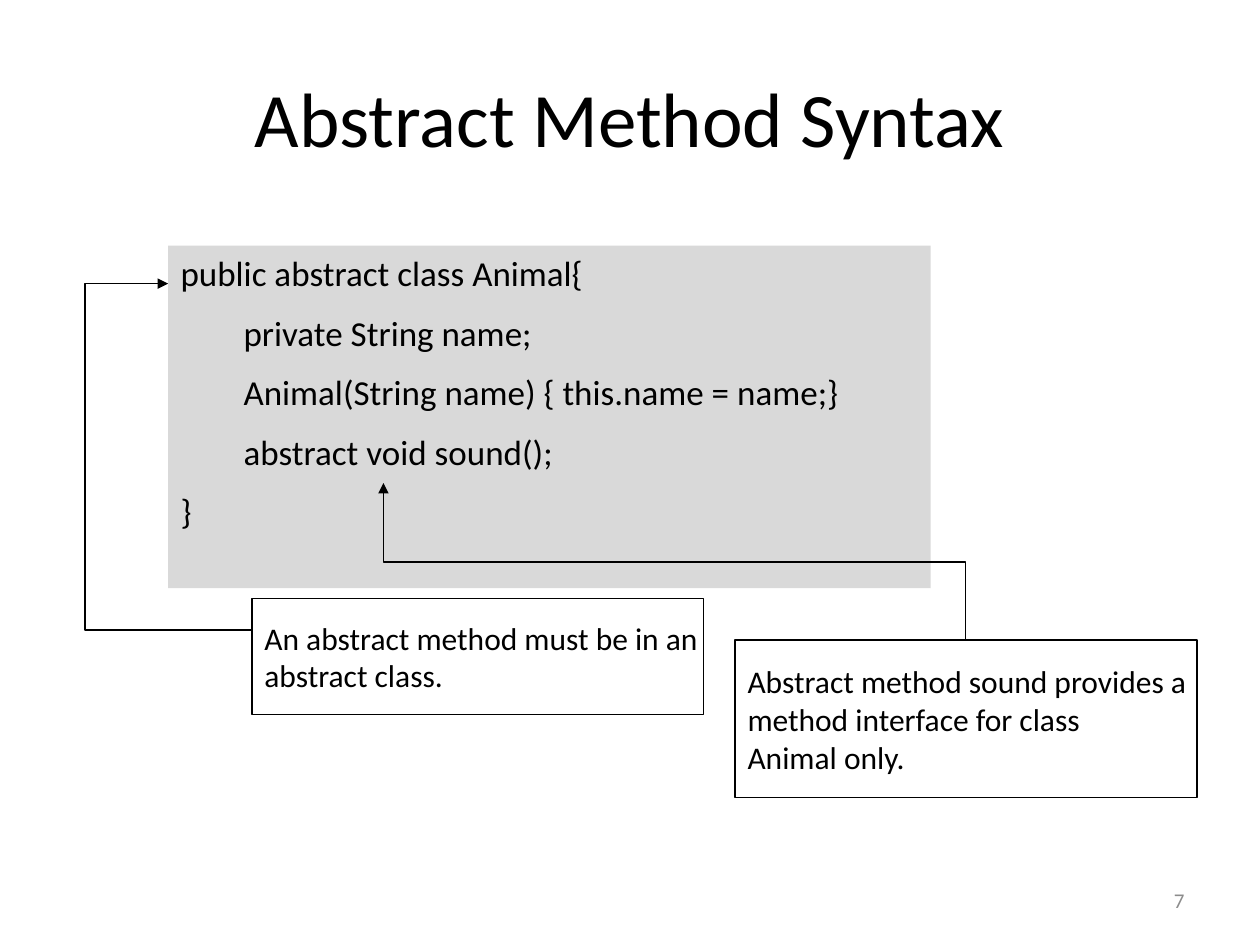
"""Builds the slide on abstract method syntax with its two callouts."""
from dataclasses import dataclass

from lxml import etree
from pptx import Presentation
from pptx import util as u
from pptx.dml.color import RGBColor
from pptx.enum import shapes, text
from pptx.oxml.ns import qn

BLACK, WHITE, LIGHT_GRAY, GRAY = "000000", "FFFFFF", "D9D9D9", "8C8C8C"


@dataclass
class Panel:
    left: float
    top: float
    width: float
    height: float
    lines: list[str]
    size: int
    fill: str = ""
    border: str = ""
    color: str = BLACK
    align: text.PP_ALIGN = text.PP_ALIGN.LEFT
    anchor: text.MSO_ANCHOR = text.MSO_ANCHOR.MIDDLE
    gap: int = 0
    wrap: bool = False


@dataclass
class Arrow:
    start: tuple[float, float]
    end: tuple[float, float]
    bend: float
    rotation: int = 0


def rgb(value: str) -> RGBColor:
    """Turn a hex string into a colour."""
    return RGBColor.from_string(value)


def draw_panel(slide, panel: Panel) -> None:
    """Draw a text panel, with a box behind it if it has a fill."""
    place = [u.Cm(v) for v in (panel.left, panel.top, panel.width, panel.height)]
    if panel.fill:
        box = slide.shapes.add_shape(shapes.MSO_SHAPE.RECTANGLE, *place)
        box.shadow.inherit = False
        box.fill.solid()
        box.fill.fore_color.rgb = rgb(panel.fill)
        if panel.border:
            box.line.color.rgb = rgb(panel.border)
            box.line.width = u.Pt(0.75)
        else:
            box.line.fill.background()
    else:
        box = slide.shapes.add_textbox(*place)
    frame = box.text_frame
    frame.word_wrap = panel.wrap
    frame.vertical_anchor = panel.anchor
    frame.text = "\n".join(panel.lines)
    for paragraph in frame.paragraphs:
        paragraph.alignment = panel.align
        paragraph.space_before = paragraph.space_after = u.Pt(panel.gap)
        paragraph.font.name = "Calibri"
        paragraph.font.size = u.Pt(panel.size)
        paragraph.font.color.rgb = rgb(panel.color)


def draw_arrow(slide, arrow: Arrow) -> None:
    """Draw an elbow arrow whose bend is a fraction of its width."""
    ends = [u.Cm(v) for v in (*arrow.start, *arrow.end)]
    elbow = slide.shapes.add_connector(shapes.MSO_CONNECTOR.ELBOW, *ends)
    elbow.line.color.rgb = rgb(BLACK)
    elbow.line.width = u.Pt(0.75)
    properties = elbow._element.spPr
    properties.find(qn("a:xfrm")).set("rot", str(arrow.rotation * 60000))
    adjustments = properties.find(qn("a:prstGeom")).find(qn("a:avLst"))
    etree.SubElement(adjustments, qn("a:gd"), name="adj1",
                     fmla=f"val {round(arrow.bend * 100000)}")
    etree.SubElement(elbow.line._get_or_add_ln(), qn("a:tailEnd"), type="triangle")
    etree.SubElement(properties, qn("a:effectLst"))


TITLE = Panel(1.27, 0.76, 22.86, 3.18, ["Abstract Method Syntax"], 44,
              align=text.PP_ALIGN.CENTER, wrap=True)
PAGE_NUMBER = Panel(18.2, 17.65, 5.93, 1.01, ["7"], 12, color=GRAY,
                    align=text.PP_ALIGN.RIGHT, wrap=True)
INTERFACE_NOTE = Panel(14.82, 12.9, 9.31, 3.18, [
    "Abstract method sound provides a ",
    "method interface for class ",
    "Animal only.",
], 18, WHITE, BLACK)
CLASS_NOTE = Panel(5.08, 12.07, 9.1, 2.33, [
    "An abstract method must be in an",
    "abstract class.",
], 18, WHITE, BLACK)
CODE = Panel(3.39, 4.95, 15.37, 6.91, [
    "public abstract class Animal{",
    "\tprivate String name;",
    "\tAnimal(String name) { this.name = name;}",
    "\tabstract void sound();",
    "}",
], 20, LIGHT_GRAY, anchor=text.MSO_ANCHOR.TOP, gap=5)
TO_CLASS = Arrow((5.08, 12.7), (3.39, 5.72), 1.99)
TO_METHOD = Arrow((12.01, 17.2), (15.19, 5.46), 0.5, 270)

deck = Presentation()
deck.slide_width, deck.slide_height = u.Cm(25.4), u.Cm(19.05)
syntax_slide = deck.slides.add_slide(deck.slide_layouts[6])
for part in (TITLE, PAGE_NUMBER, INTERFACE_NOTE, TO_CLASS, CLASS_NOTE, CODE, TO_METHOD):
    if isinstance(part, Arrow):
        draw_arrow(syntax_slide, part)
    else:
        draw_panel(syntax_slide, part)
deck.save("out.pptx")
